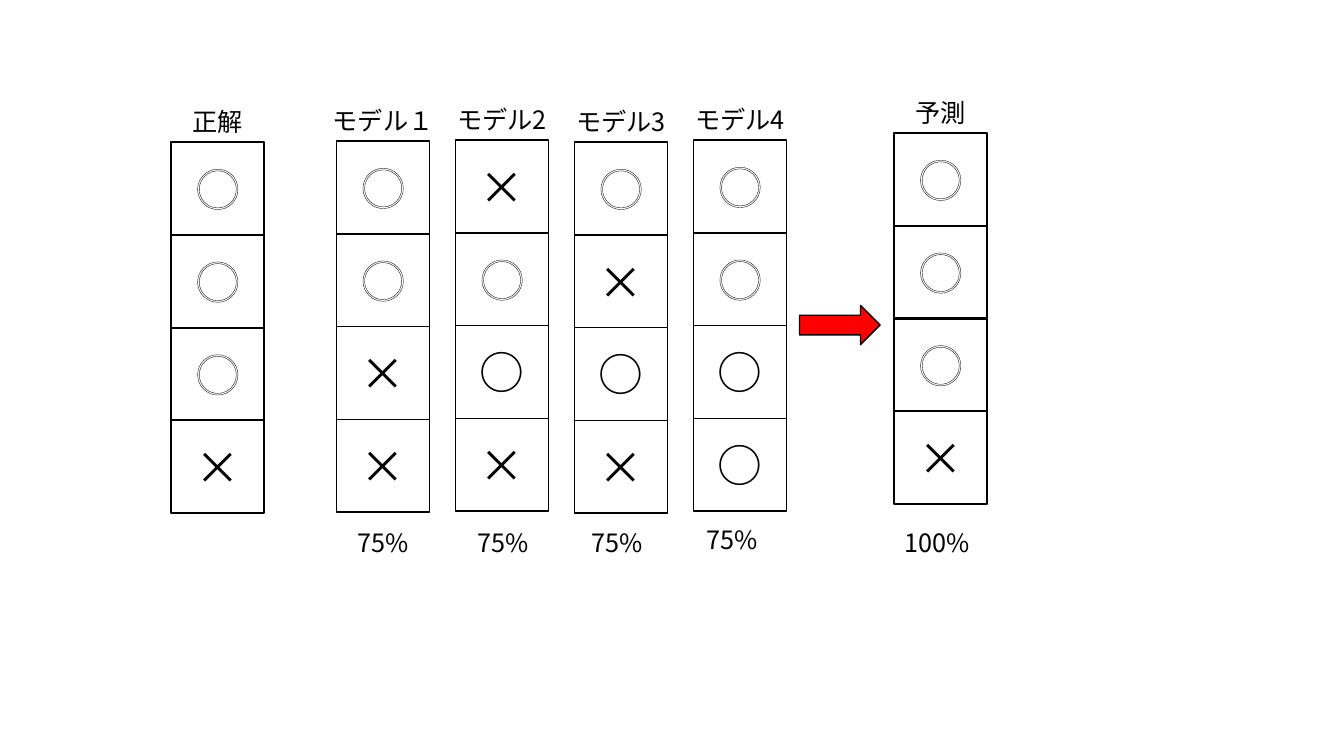
from dataclasses import dataclass

from lxml import etree
from pptx import Presentation, util as u
from pptx.dml.color import RGBColor
from pptx.enum import shapes, text
from pptx.oxml import ns

# Marks: w = hollow circle, b = solid circle, x = cross
MARKS = {"w": ("○", "FFFFFF"), "b": ("○", "000000"), "x": ("×", "000000")}

# name, marks, left, top, border, score, score centre shift, score top
COLS = [
    ("正解", "wwwx", 1.70, 1.41, 1.5, None, 0, 0),
    ("モデル１", "wwxx", 3.34, 1.40, 1, "75%", 0, 5.18),
    ("モデル2", "xwbx", 4.52, 1.39, 1, "75%", 0.01, 5.18),
    ("モデル3", "wxbx", 5.70, 1.41, 1, "75%", -0.04, 5.18),
    ("モデル4", "wwbb", 6.88, 1.39, 1, "75%", -0.08, 5.15),
    ("予測", "wwwx", 8.87, 1.32, 1.5, "100%", -0.04, 5.18),
]
CELL = 0.92
LABEL = (1.37, 0.4)
SCORE = (1.01, 0.4)
ARROW = (7.93, 3.03, 0.8, 0.39)


@dataclass(frozen=True)
class Theme:
    font: str = "Noto Sans CJK JP"
    ink: str = "000000"
    arrow: str = "FF0000"
    mark: int = 32
    label: int = 18


T = Theme()


def rgb(code):
    return RGBColor.from_string(code)


def write(shape, words, size, color):
    frame = shape.text_frame
    frame.word_wrap = True
    frame.text = words
    line = frame.paragraphs[0]
    line.alignment = text.PP_ALIGN.CENTER
    font = line.runs[0].font
    font.size = u.Pt(size)
    font.color.rgb = rgb(color)
    font.name = T.font
    props = line.runs[0]._r.get_or_add_rPr()
    east = etree.SubElement(props, ns.qn("a:ea"))
    east.set("typeface", T.font)
    return props


def outline(props):
    """Give the letters a thin outline."""
    line = etree.Element(ns.qn("a:ln"), w=str(u.Pt(0.75)))
    fill = etree.SubElement(line, ns.qn("a:solidFill"))
    etree.SubElement(fill, ns.qn("a:srgbClr"), val=T.ink)
    props.insert(0, line)


def draw(slide, kind, box, width, fill=None):
    shape = slide.shapes.add_shape(kind, *map(u.Inches, box))
    shape.shadow.inherit = False
    if fill:
        shape.fill.solid()
        shape.fill.fore_color.rgb = rgb(fill)
    else:
        shape.fill.background()
    shape.line.color.rgb = rgb(T.ink)
    shape.line.width = u.Pt(width)
    return shape


def caption(slide, words, mid, top, size):
    wide, high = size
    box = slide.shapes.add_textbox(
        *map(u.Inches, (mid - wide / 2, top, wide, high)))
    write(box, words, T.label, T.ink)
    box.text_frame.auto_size = text.MSO_AUTO_SIZE.SHAPE_TO_FIT_TEXT


def column(slide, name, marks, left, top, border, score, shift, low):
    for row, key in enumerate(marks):
        box = (left, top + row * CELL, CELL, CELL)
        cell = draw(slide, shapes.MSO_SHAPE.RECTANGLE, box, border)
        cell.text_frame.vertical_anchor = text.MSO_ANCHOR.MIDDLE
        sign, color = MARKS[key]
        outline(write(cell, sign, T.mark, color))
    mid = left + CELL / 2
    caption(slide, name, mid, top - LABEL[1], LABEL)
    if score:
        caption(slide, score, mid + shift, low, SCORE)


def main():
    deck = Presentation()
    deck.slide_width = u.Inches(13.33)
    deck.slide_height = u.Inches(7.5)
    slide = deck.slides.add_slide(deck.slide_layouts[6])
    for col in COLS:
        column(slide, *col)
    draw(slide, shapes.MSO_SHAPE.RIGHT_ARROW, ARROW, 1, T.arrow)
    deck.save("out.pptx")


if __name__ == "__main__":
    main()
